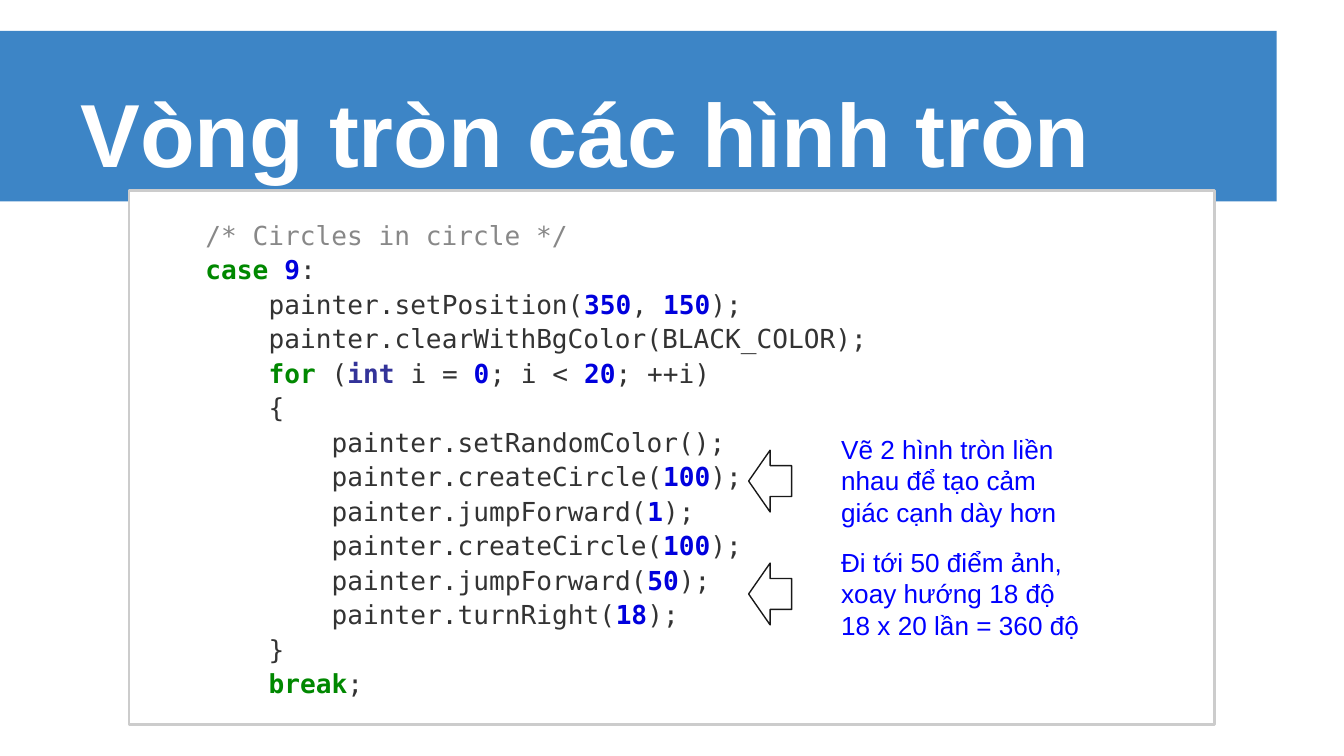
"""Build a slide that explains the code for a ring of circles."""
import pptx
import pptx.dml.color
import pptx.enum.shapes
import pptx.enum.text
import pptx.util

Inches = pptx.util.Inches
Pt = pptx.util.Pt
SHAPE = pptx.enum.shapes.MSO_SHAPE
ANCHOR = pptx.enum.text.MSO_ANCHOR
LEFT = pptx.enum.text.PP_ALIGN.LEFT

TITLE = "Vòng tròn các hình tròn"
STYLES = {
    "text": ("333333", False),
    "note": ("888888", False),
    "key": ("008800", True),
    "type": ("333399", True),
    "num": ("0000DD", True),
}


def call(name, *nums):
    parts = [(f"painter.{name}(", "text")]
    for i, num in enumerate(nums):
        if i:
            parts.append((", ", "text"))
        parts.append((num, "num"))
    return parts + [(");", "text")]


CODE = [
    (1, [("/* Circles in circle */", "note")]),
    (1, [("case ", "key"), ("9", "num"), (":", "text")]),
    (2, call("setPosition", "350", "150")),
    (2, [("painter.clearWithBgColor(BLACK_COLOR);", "text")]),
    (2, [("for", "key"), (" (", "text"), ("int", "type"), (" i = ", "text"),
         ("0", "num"), ("; i < ", "text"), ("20", "num"), ("; ++i)", "text")]),
    (2, [("{", "text")]),
    (3, call("setRandomColor")),
    (3, call("createCircle", "100")),
    (3, call("jumpForward", "1")),
    (3, call("createCircle", "100")),
    (3, call("jumpForward", "50")),
    (3, call("turnRight", "18")),
    (2, [("}", "text")]),
    (2, [("break", "key"), (";", "text")]),
]
NOTES = [
    ["Vẽ 2 hình tròn liền nhau để tạo cảm giác cạnh dày hơn"],
    ["Đi tới 50 điểm ảnh, xoay hướng 18 độ", "18 x 20 lần = 360 độ"],
]
INDENT = 0.47
TOP, STEP = 3.11, 0.84


def tint(hue):
    return pptx.dml.color.RGBColor.from_string(hue)


def frame(shape, anchor):
    text = shape.text_frame
    text.word_wrap = True
    text.vertical_anchor = anchor
    text.margin_left = text.margin_right = Inches(0.1)
    text.margin_top = text.margin_bottom = Inches(0.1)
    return text


def line(text, first):
    para = text.paragraphs[0] if first else text.add_paragraph()
    para.alignment = LEFT
    return para


def write(para, words, face, size, hue, bold=False):
    run = para.add_run()
    run.text = words
    run.font.name = face
    run.font.size = Pt(size)
    run.font.bold = bold
    run.font.color.rgb = tint(hue)


def draw(slide, kind, box, fill=None, edge=None, width=0.75):
    shape = slide.shapes.add_shape(kind, *map(Inches, box))
    shape.shadow.inherit = False
    if fill:
        shape.fill.solid()
        shape.fill.fore_color.rgb = tint(fill)
    else:
        shape.fill.background()
    if edge:
        shape.line.color.rgb = tint(edge)
        shape.line.width = Pt(width)
    else:
        shape.line.fill.background()
    return shape


def main():
    deck = pptx.Presentation()
    deck.slide_width = Inches(10)
    deck.slide_height = Inches(10) * 9 // 16
    slide = deck.slides.add_slide(deck.slide_layouts[5])

    title = slide.shapes.title
    title.left, title.top = Inches(0.5), Inches(0.23)
    title.width, title.height = Inches(9), Inches(1.25)
    text = frame(title, ANCHOR.BOTTOM)
    write(line(text, True), TITLE, "Arial", 48, "FFFFFF", True)
    band = draw(slide, SHAPE.RECTANGLE, (0, 0.23, 9.5, 1.27), "3D85C6")
    title._element.addprevious(band._element)

    panel = draw(slide, SHAPE.RECTANGLE, (0.96, 1.42, 8.08, 3.97),
                 "FFFFFF", "CCCCCC", 1.5)
    text = frame(panel, ANCHOR.MIDDLE)
    for i, (level, parts) in enumerate(CODE):
        para = line(text, i == 0)
        para.line_spacing = 1.1
        props = para._p.get_or_add_pPr()
        props.set("marL", str(Inches(INDENT * level)))
        props.set("indent", "0")
        for words, style in parts:
            write(para, words, "DejaVu Sans Mono", 14, *STYLES[style])

    for i, note in enumerate(NOTES):
        top = TOP + i * STEP
        draw(slide, SHAPE.LEFT_ARROW, (5.57, top + 0.24, 0.32, 0.46),
             edge="191919")
        box = slide.shapes.add_textbox(
            *map(Inches, (6.16, top, 1.99, 0.93)))
        text = frame(box, ANCHOR.MIDDLE)
        for j, words in enumerate(note):
            write(line(text, j == 0), words, "Arial", 14, "0000FF")

    deck.save("out.pptx")


if __name__ == "__main__":
    main()
